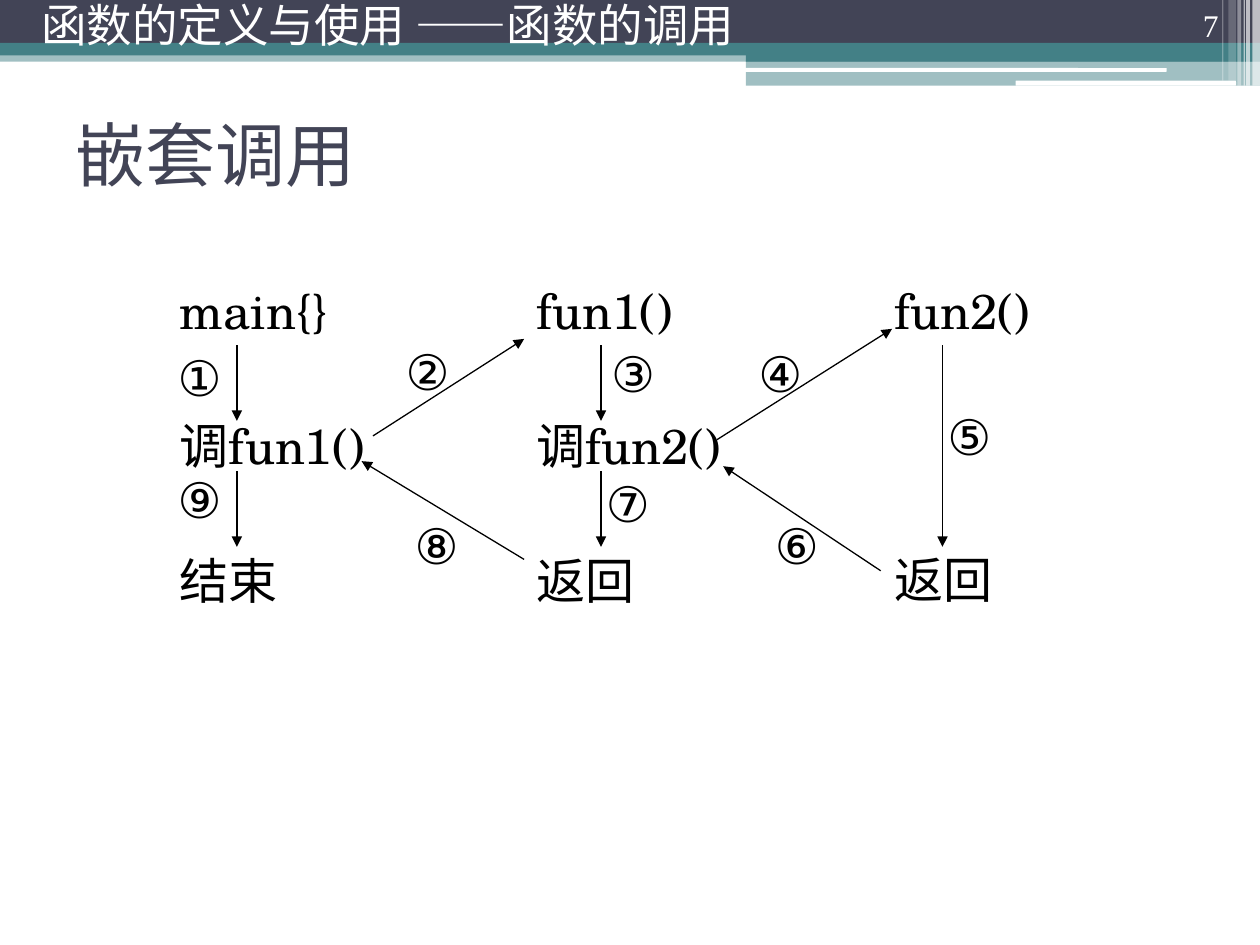
from lxml import etree
from pptx import Presentation
from pptx.dml.color import RGBColor
from pptx.enum.shapes import MSO_CONNECTOR, MSO_SHAPE
from pptx.enum.text import MSO_ANCHOR as ANCHOR, PP_ALIGN as ALIGN
from pptx.oxml.ns import qn
from pptx.util import Inches, Pt

NAVY = RGBColor(0x42, 0x44, 0x56)
TEAL = RGBColor(0x43, 0x80, 0x86)
WHITE = RGBColor(0xFF, 0xFF, 0xFF)
BLACK = RGBColor(0, 0, 0)
SERIF = "TeX Gyre Schola"
LINE_PITCH = 38.4


def style(p, size, font, color, align):
    p.alignment = align
    for r in p.runs:
        r.font.size = Pt(size)
        r.font.name = font
        r.font.color.rgb = color


def add_text(box, text, size, font, color, align, anchor=ANCHOR.TOP, inset=True):
    sp = slide.shapes.add_textbox(*map(Inches, box))
    tf = sp.text_frame
    tf.word_wrap = True
    tf.vertical_anchor = anchor
    if not inset:
        tf.margin_left = tf.margin_right = tf.margin_top = tf.margin_bottom = 0
    tf.text = text
    for p in tf.paragraphs:
        style(p, size, font, color, align)
    return tf


prs = Presentation()
prs.slide_width, prs.slide_height = Inches(10), Inches(7.5)
slide = prs.slides.add_slide(prs.slide_layouts[5])

RECT, ROUND = MSO_SHAPE.RECTANGLE, MSO_SHAPE.ROUNDED_RECTANGLE
bars = [
    (RECT, 0, 0.4, 10, 0.09, TEAL, 50),
    (RECT, 0, 0, 10, 0.34, NAVY, 100),
    (RECT, 0, 0.34, 10, 0.1, TEAL, 100),
    (RECT, 5.92, 0.39, 4.08, 0.1, TEAL, 100),
    (RECT, 5.92, 0.48, 4.08, 0.2, TEAL, 50),
    (ROUND, 5.91, 0.54, 3.35, 0.03, WHITE, 100),
    (ROUND, 8.06, 0.64, 1.75, 0.04, WHITE, 100),
    (RECT, 9.94, 0, 0.06, 0.68, WHITE, 65),
    (RECT, 9.89, 0, 0.03, 0.68, WHITE, 65),
    (RECT, 9.87, 0, 0.01, 0.68, WHITE, 60),
    (RECT, 9.82, 0, 0.03, 0.68, WHITE, 40),
    (RECT, 9.75, 0, 0.06, 0.64, WHITE, 20),
    (RECT, 9.7, 0, 0.01, 0.64, WHITE, 30),
]
for kind, x, y, w, h, color, opacity in bars:
    sp = slide.shapes.add_shape(kind, Inches(x), Inches(y), Inches(w), Inches(h))
    sp.shadow.inherit = False
    sp.line.fill.background()
    sp.fill.solid()
    sp.fill.fore_color.rgb = color
    if opacity < 100:
        clr = sp._element.spPr.find(qn("a:solidFill"))[0]
        etree.SubElement(clr, qn("a:alpha"), val=str(opacity * 1000))

title = slide.shapes.title
slide.shapes._spTree.append(title._element)
title.left, title.top = Inches(0.5), Inches(0.63)
title.width, title.height = Inches(9), Inches(1.17)
title.text_frame.text = "嵌套调用"
title.text_frame.vertical_anchor = ANCHOR.MIDDLE
style(title.text_frame.paragraphs[0], 40, "Lato", NAVY, ALIGN.LEFT)

add_text((8.94, 0, 0.83, 0.4), "7", 18, "Times New Roman", WHITE,
         ALIGN.RIGHT, ANCHOR.BOTTOM)
tf = add_text((0.23, 0, 8.83, 0.47), "函数的定义与使用 ——函数的调用", 26, "Lato",
              WHITE, ALIGN.LEFT, ANCHOR.MIDDLE)
tf.paragraphs[0].line_spacing = 0.8

columns = [
    (1.33, "main{}\n调fun1()\n结束", 1),
    (4.16, "fun1()\n调fun2()\n返回", 1),
    (7, "fun2()\n返回", 3),
]
for x, text, gap_lines in columns:
    tf = add_text((x, 2.11, 1.83, 2.83), text, 28, SERIF, BLACK, ALIGN.JUSTIFY)
    for i, p in enumerate(tf.paragraphs):
        p.line_spacing = 1.15
        if i:
            p.space_before = Pt(gap_lines * LINE_PITCH)

arrows = [
    (1.88, 2.74, 1.88, 3.34),
    (1.88, 3.74, 1.88, 4.34),
    (2.96, 3.46, 4.16, 2.69),
    (4.16, 4.44, 2.87, 3.66),
    (4.77, 2.74, 4.77, 3.34),
    (4.77, 3.74, 4.77, 4.34),
    (5.69, 3.49, 7.08, 2.61),
    (7.48, 2.74, 7.48, 4.34),
    (6.99, 4.53, 5.74, 3.7),
]
for ends in arrows:
    cx = slide.shapes.add_connector(MSO_CONNECTOR.STRAIGHT, *map(Inches, ends))
    cx.line.color.rgb = BLACK
    cx.line.width = Pt(0.75)
    etree.SubElement(cx.line._get_or_add_ln(), qn("a:tailEnd"), type="triangle")
    etree.SubElement(cx._element.spPr, qn("a:effectLst"))

steps = [
    ("①", 1.41, 2.76), ("②", 3.22, 2.71), ("③", 4.85, 2.73),
    ("⑦", 4.81, 3.76), ("④", 6.02, 2.73), ("⑤", 7.52, 3.23),
    ("⑥", 6.15, 4.09), ("⑧", 3.29, 4.09), ("⑨", 1.41, 3.73),
]
for number, x, y in steps:
    add_text((x, y, 0.33, 0.4), number, 28, SERIF, BLACK, ALIGN.JUSTIFY, inset=False)

prs.save("out.pptx")
